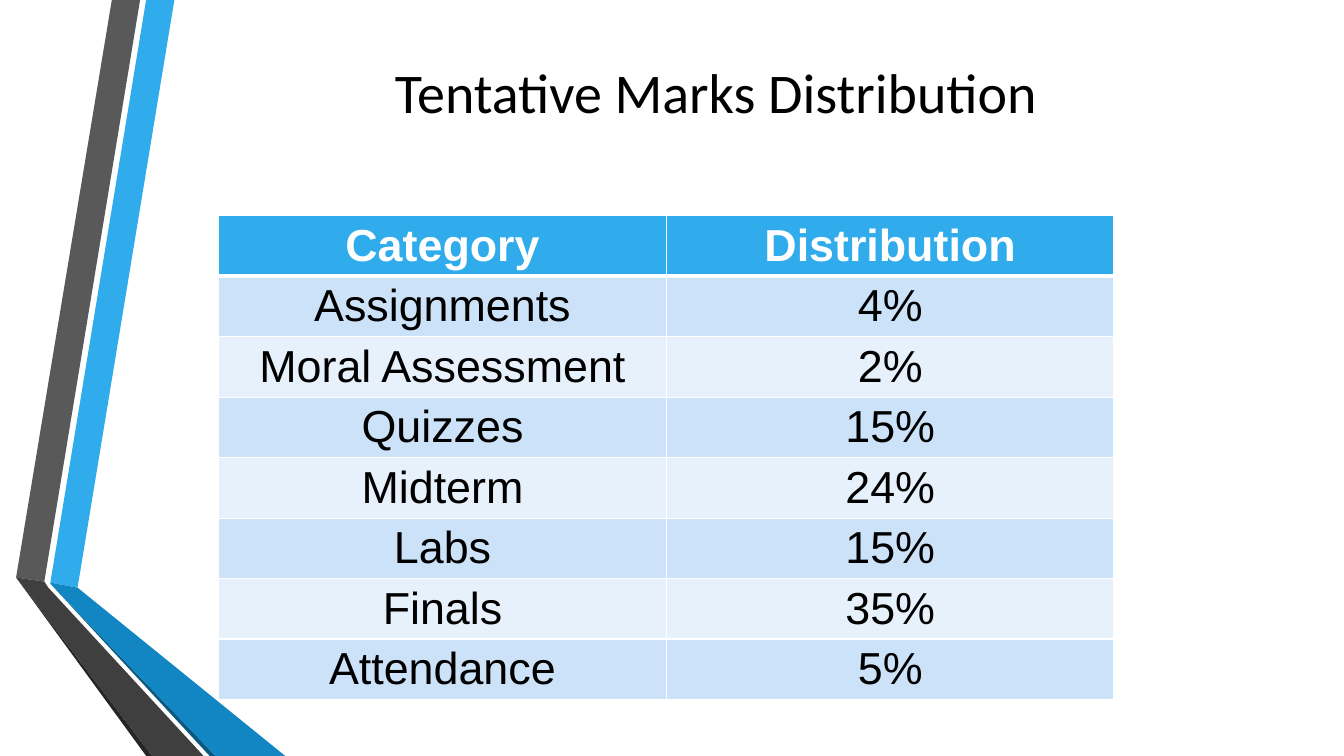
"""Build the slide with the tentative marks distribution of a course."""
from dataclasses import dataclass

from lxml import etree
from pptx import Presentation
from pptx.dml.color import RGBColor
from pptx.enum.text import MSO_ANCHOR, PP_ALIGN
from pptx.oxml.ns import qn
from pptx.util import Inches, Pt

CENTER = PP_ALIGN.CENTER
MIDDLE = MSO_ANCHOR.MIDDLE
TITLE_ONLY = 5

GRID = Inches(0.01)
GRID_COLUMNS, GRID_ROWS = 1333, 750

COLORS = {
    "blue": "30ACEC",
    "deep blue": "1186C3",
    "navy": "0B5982",
    "gray": "595959",
    "dark gray": "3F3F3F",
    "charcoal": "262626",
    "band": "CCE2F8",
    "light band": "E7F1FB",
    "black": "000000",
    "white": "FFFFFF",
}


@dataclass(frozen=True)
class Ribbon:
    color: str
    points: tuple[tuple[int, int], ...]


@dataclass(frozen=True)
class Area:
    left: int
    top: int
    width: int
    height: int

    def lengths(self) -> list[int]:
        return [GRID * n for n in (self.left, self.top, self.width, self.height)]


RIBBONS = (
    Ribbon("blue", ((50, 578), (77, 583), (173, 0), (145, 0))),
    Ribbon("gray", ((139, 0), (111, 0), (16, 573), (44, 577))),
    Ribbon("charcoal", ((16, 573), (145, 750), (151, 750))),
    Ribbon("navy", ((50, 579), (208, 750), (214, 750))),
    Ribbon("deep blue", ((50, 579), (214, 750), (283, 750), (77, 583), (50, 578))),
    Ribbon("dark gray", ((202, 750), (48, 583), (44, 577), (16, 573), (151, 750))),
)

TITLE = "Tentative Marks Distribution"
TITLE_AREA = Area(162, 21, 1096, 138)
TITLE_FORMAT = {"name": "Calibri", "size": Pt(40), "bold": False}

MARKS = (
    ("Category", "Distribution"),
    ("Assignments", "4%"),
    ("Moral Assessment", "2%"),
    ("Quizzes", "15%"),
    ("Midterm", "24%"),
    ("Labs", "15%"),
    ("Finals", "35%"),
    ("Attendance", "5%"),
)
MARKS_AREA = Area(217, 214, 888, 480)
HEADER_FORMAT = {"name": "Arial", "size": Pt(32), "bold": True}
BODY_FORMAT = {**HEADER_FORMAT, "bold": False}


def rgb(color: str) -> RGBColor:
    return RGBColor.from_string(COLORS[color])


def write_text(frame, text: str, font_format: dict, color: str) -> None:
    para = frame.paragraphs[0]
    para.alignment = CENTER
    span = para.add_run()
    span.text = text
    for name, value in font_format.items():
        setattr(span.font, name, value)
    span.font.color.rgb = rgb(color)


def draw_ribbon(page, ribbon: Ribbon) -> None:
    start, *others = ribbon.points
    builder = page.shapes.build_freeform(*start, scale=GRID)
    builder.add_line_segments(others, close=True)
    shape = builder.convert_to_shape()
    shape.shadow.inherit = False
    shape.fill.solid()
    shape.fill.fore_color.rgb = rgb(ribbon.color)
    shape.line.fill.background()


def set_borders(cell, top: float, bottom: float) -> None:
    properties = cell._tc.get_or_add_tcPr()
    widths = {"a:lnL": 1, "a:lnR": 1, "a:lnT": top, "a:lnB": bottom}
    for side, width in widths.items():
        line = etree.SubElement(properties, qn(side), w=str(Pt(width)))
        fill = etree.SubElement(line, qn("a:solidFill"))
        etree.SubElement(fill, qn("a:srgbClr"), val=COLORS["white"])


def draw_title(page) -> None:
    title = page.shapes.title
    title.left, title.top, title.width, title.height = TITLE_AREA.lengths()
    title.text_frame.vertical_anchor = MIDDLE
    write_text(title.text_frame, TITLE, TITLE_FORMAT, "black")
    page.shapes.element.append(title.element)


def draw_marks(page) -> None:
    size = len(MARKS), len(MARKS[0])
    table = page.shapes.add_table(*size, *MARKS_AREA.lengths()).table
    for row, texts in enumerate(MARKS):
        header = row == 0
        band = "band" if row % 2 else "light band"
        for column, text in enumerate(texts):
            cell = table.cell(row, column)
            set_borders(cell, 3 if row == 1 else 1, 3 if header else 1)
            cell.fill.solid()
            cell.fill.fore_color.rgb = rgb("blue" if header else band)
            write_text(
                cell.text_frame,
                text,
                HEADER_FORMAT if header else BODY_FORMAT,
                "white" if header else "black",
            )


def main() -> None:
    deck = Presentation()
    deck.slide_width = GRID * GRID_COLUMNS
    deck.slide_height = GRID * GRID_ROWS
    page = deck.slides.add_slide(deck.slide_layouts[TITLE_ONLY])
    for ribbon in RIBBONS:
        draw_ribbon(page, ribbon)
    draw_title(page)
    draw_marks(page)
    deck.save("out.pptx")


if __name__ == "__main__":
    main()
